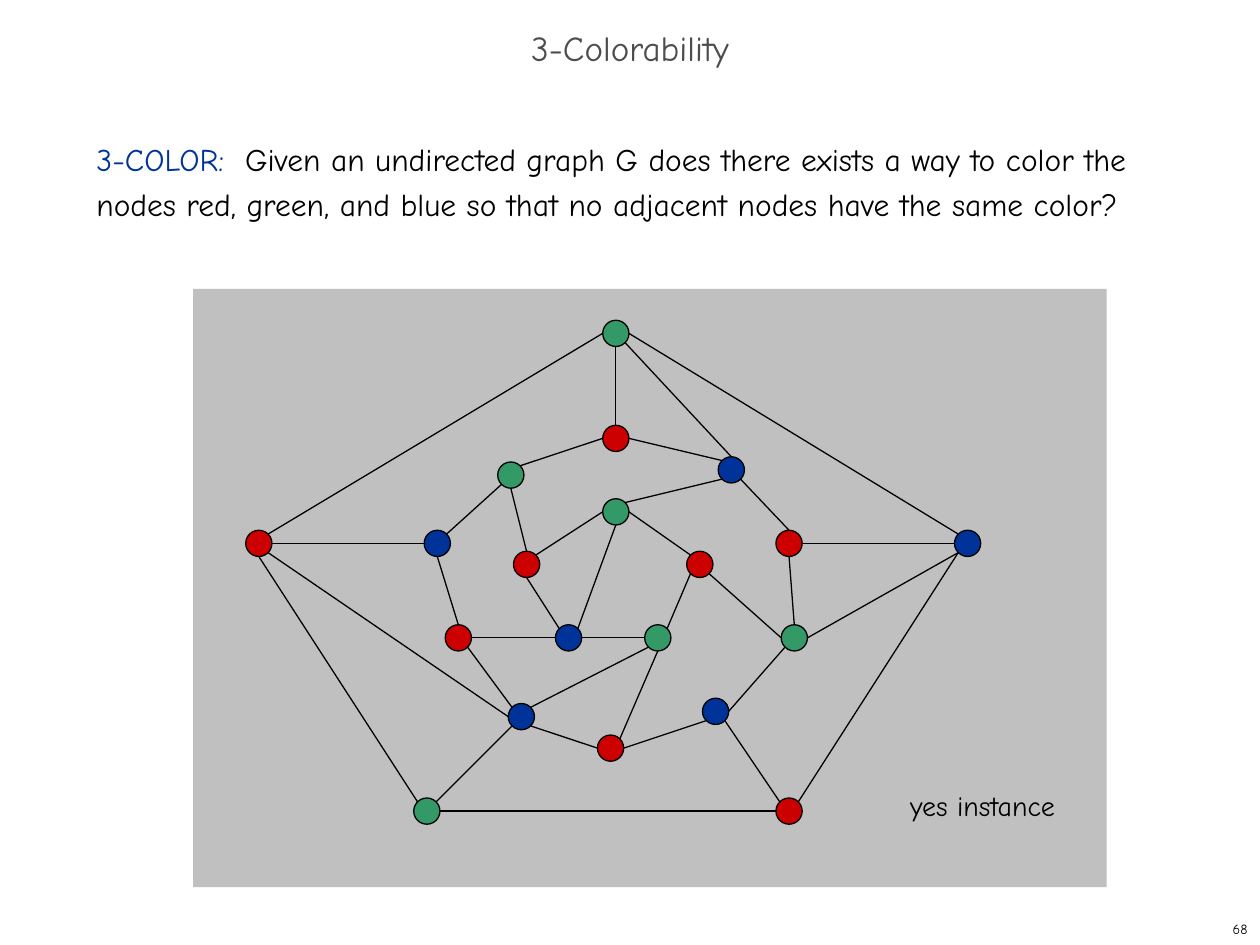
"""Build the 3-Colorability slide with its three-coloured graph."""
import lxml.etree
import pptx
import pptx.dml.color
import pptx.enum.shapes
import pptx.enum.text
import pptx.oxml.ns
import pptx.util

CELL = pptx.util.Inches(1 / 24)
ORIGIN_COLUMN, ORIGIN_ROW = 117.3, 63.5
RADIUS = 2.5
DIAGONAL = RADIUS * 0.5 ** 0.5
BLACK, RED, GREEN, BLUE = "000000", "CC0000", "339966", "003399"
ALIGN = pptx.enum.text.PP_ALIGN
ANCHOR = pptx.enum.text.MSO_ANCHOR
SHAPE = pptx.enum.shapes.MSO_SHAPE


def color(value):
    return pptx.dml.color.RGBColor.from_string(value)


def add_text(column, row, columns, rows, spans, size, align=ALIGN.LEFT, anchor=ANCHOR.TOP):
    box = page.shapes.add_textbox(*[round(n * CELL) for n in (column, row, columns, rows)])
    box.text_frame.word_wrap = True
    box.text_frame.vertical_anchor = anchor
    para = box.text_frame.paragraphs[0]
    para.alignment = align
    para.font.name = "Comic Neue"
    para.font.size = pptx.util.Pt(size)
    for text, ink in spans:
        span = para.add_run()
        span.text = text
        span.font.color.rgb = color(ink)
    return para


deck = pptx.Presentation()
deck.slide_width, deck.slide_height = 240 * CELL, 180 * CELL
page = deck.slides.add_slide(deck.slide_layouts[6])

add_text(190, 174, 50, 6, [("68", BLACK)], 8, ALIGN.RIGHT, ANCHOR.MIDDLE)

panel = page.shapes.add_shape(
    SHAPE.RECTANGLE, round(36.8 * CELL), 55 * CELL, 174 * CELL, 114 * CELL)
panel.shadow.inherit = False
panel.fill.solid()
panel.fill.fore_color.rgb = color("C0C0C0")
panel.line.fill.background()

title = add_text(0, 4, 240, 12, [("3-Colorability", "4D4D4D")], 20, ALIGN.CENTER, ANCHOR.MIDDLE)
title.line_spacing = 0.7

question = add_text(16, 24, 206, 142, [
    ("3-COLOR:  ", BLUE),
    ("Given an undirected graph G does there exists a way to color the nodes red, green, "
     "and blue so that no adjacent nodes have the same color?", BLACK),
], 18)
question.line_spacing = pptx.util.Pt(26)

nodes = {
    "inner top": (0, 34, GREEN),
    "inner right": (16, 44, RED),
    "inner low right": (8, 58, GREEN),
    "inner low left": (-9, 58, BLUE),
    "inner left": (-17, 44, RED),
    "outer top": (0, 0, GREEN),
    "outer right": (67, 40, BLUE),
    "outer low right": (33, 91, RED),
    "outer low left": (-36, 91, GREEN),
    "outer left": (-68, 40, RED),
    "ring top": (0, 20, RED),
    "ring high right": (22, 26, BLUE),
    "ring right": (33, 40, RED),
    "ring mid right": (34, 58, GREEN),
    "ring low right": (19, 72, BLUE),
    "ring high left": (-20, 27, GREEN),
    "ring left": (-34, 40, BLUE),
    "ring mid left": (-30, 58, RED),
    "ring low left": (-18, 73, BLUE),
    "ring bottom": (-1, 79, RED),
}
sites = {
    "N": (0, -RADIUS), "S": (0, RADIUS), "E": (RADIUS, 0), "W": (-RADIUS, 0),
    "NE": (DIAGONAL, -DIAGONAL), "NW": (-DIAGONAL, -DIAGONAL),
    "SE": (DIAGONAL, DIAGONAL), "SW": (-DIAGONAL, DIAGONAL),
}
edges = [
    ("inner top", "E", "inner right", "NW"),
    ("inner low left", "E", "inner low right", "W"),
    ("inner left", "NE", "inner top", "W"),
    ("outer low right", "NE", "outer right", "SW"),
    ("outer top", "E", "outer right", "NW"),
    ("outer low left", "NW", "outer left", "S"),
    ("outer left", "NE", "outer top", "W"),
    ("ring top", "E", "ring high right", "NW"),
    ("ring mid right", "N", "ring right", "S"),
    ("ring mid right", "SW", "ring low right", "E"),
    ("ring top", "W", "ring high left", "NE"),
    ("ring left", "S", "ring mid left", "N"),
    ("ring mid left", "SE", "ring low left", "NW"),
    ("ring low left", "SE", "ring bottom", "W"),
    ("ring bottom", "E", "ring low right", "SW"),
    ("outer low right", "NW", "ring low right", "SE"),
    ("ring low left", "SW", "outer low left", "NE"),
    ("ring left", "W", "outer left", "E"),
    ("ring top", "N", "outer top", "S"),
    ("inner low right", "S", "ring bottom", "NE"),
    ("ring mid right", "W", "inner right", "SE"),
    ("inner left", "N", "ring high left", "S"),
    ("ring high right", "SW", "inner top", "NE"),
    ("inner low right", "NE", "inner right", "SW"),
    ("inner low left", "NE", "inner top", "S"),
    ("inner low left", "NW", "inner left", "S"),
    ("ring mid right", "E", "outer right", "SW"),
    ("outer low left", "E", "outer low right", "W"),
    ("ring low left", "W", "outer left", "SE"),
    ("ring right", "N", "ring high right", "SE"),
    ("ring high left", "SW", "ring left", "NE"),
    ("ring low left", "NE", "inner low right", "SW"),
    ("ring high right", "N", "outer top", "SE"),
    ("ring right", "E", "outer right", "W"),
    ("inner low left", "W", "ring mid left", "E"),
]

for start, start_site, end, end_site in edges:
    ends = []
    for name, site in ((start, start_site), (end, end_site)):
        ends.append(round((ORIGIN_COLUMN + nodes[name][0] + sites[site][0]) * CELL))
        ends.append(round((ORIGIN_ROW + nodes[name][1] + sites[site][1]) * CELL))
    edge = page.shapes.add_connector(pptx.enum.shapes.MSO_CONNECTOR.STRAIGHT, *ends)
    edge.line.color.rgb = color(BLACK)
    edge.line.width = pptx.util.Pt(0.75)
    lxml.etree.SubElement(edge._element.spPr, pptx.oxml.ns.qn("a:effectLst"))

for column, row, fill in nodes.values():
    node = page.shapes.add_shape(
        SHAPE.OVAL,
        round((ORIGIN_COLUMN + column - RADIUS) * CELL),
        round((ORIGIN_ROW + row - RADIUS) * CELL),
        round(2 * RADIUS * CELL), round(2 * RADIUS * CELL))
    node.shadow.inherit = False
    node.fill.solid()
    node.fill.fore_color.rgb = color(fill)
    node.line.color.rgb = color(BLACK)
    node.line.width = pptx.util.Pt(0.75)

add_text(171, 149, 36, 9, [("yes instance", BLACK)], 16)

deck.save("out.pptx")
